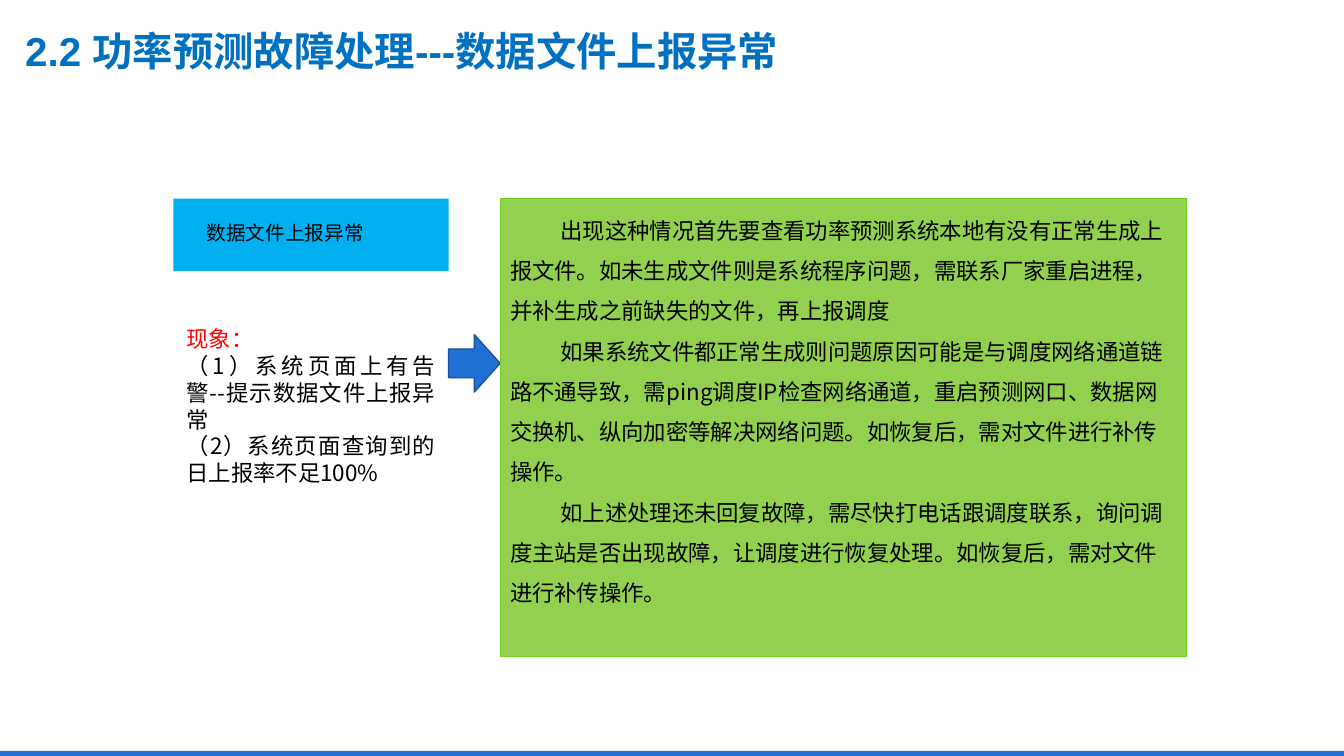
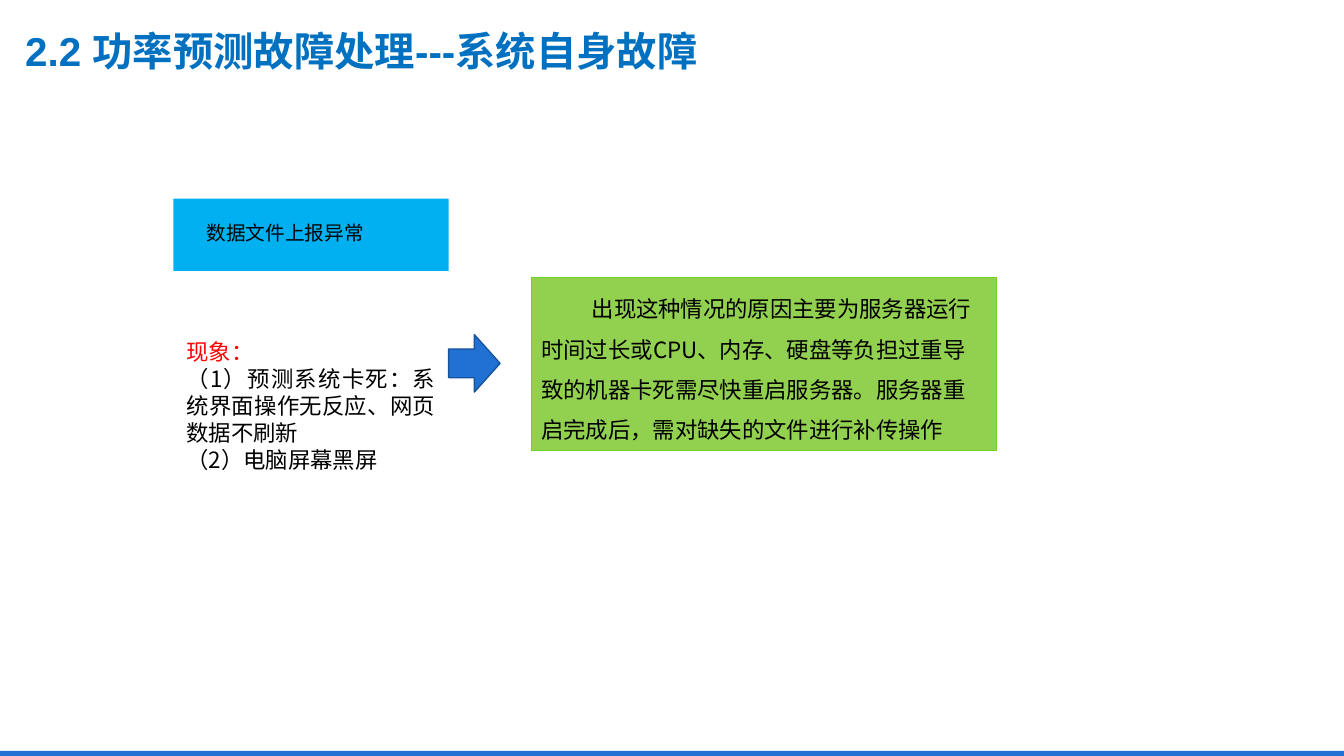
from lxml import etree
from pptx import Presentation
from pptx.dml.color import RGBColor
from pptx.enum import shapes, text
from pptx.oxml import ns
from pptx.util import Inches, Pt

CHINESE_FONT = "Noto Sans CJK SC"
TITLE_FONT = "Arial"
BLUE, DARK_BLUE, TITLE_BLUE, SKY = "2071D3", "18549C", "0070C0", "00B0F0"
GREEN, GREEN_EDGE = "92D050", "71D320"
BLACK, RED, WHITE = "000000", "FF0000", "FFFFFF"

RECTANGLE = shapes.MSO_SHAPE.RECTANGLE
TOP, MIDDLE = text.MSO_ANCHOR.TOP, text.MSO_ANCHOR.MIDDLE
LEFT, JUSTIFY = text.PP_ALIGN.LEFT, text.PP_ALIGN.JUSTIFY

WIDTH, HEIGHT = 13.33, 7.5
BAND_HEIGHT = 0.05
COLUMN_LEFT, COLUMN_TOP, COLUMN_WIDTH = 1.72, 1.97, 2.73
HEADING_HEIGHT, SYMPTOM_HEIGHT = 0.72, 2.67


def color(hex_string):
    return RGBColor.from_string(hex_string)


class Deck:
    def __init__(self):
        self.presentation = Presentation()
        self.presentation.slide_width = Inches(WIDTH)
        self.presentation.slide_height = Inches(HEIGHT)
        self.slide = None

    def add_slide(self, title):
        """Start a slide with the shared footer band and title."""
        self.slide = self.presentation.slides.add_slide(self.presentation.slide_layouts[6])
        self.add_shape(RECTANGLE, (0, HEIGHT - BAND_HEIGHT, WIDTH, BAND_HEIGHT), BLUE)
        box = self.add_text_box((0.25, 0.24, 12.13, 0.52))
        self.set_text(box, [title], 28.8, TITLE_BLUE, insets=(0, 0),
                      font=TITLE_FONT, bold=True)

    def add_shape(self, kind, place, fill, line=None, line_width=1):
        shape = self.slide.shapes.add_shape(kind, *map(Inches, place))
        shape.shadow.inherit = False
        shape.fill.solid()
        shape.fill.fore_color.rgb = color(fill)
        if line:
            shape.line.color.rgb = color(line)
            shape.line.width = Pt(line_width)
        else:
            shape.line.fill.background()
        return shape

    def add_text_box(self, place):
        return self.slide.shapes.add_textbox(*map(Inches, place))

    def set_text(self, shape, lines, size, text_color, insets=(0.1, 0.05), anchor=MIDDLE,
                 align=LEFT, spacing=1.0, indent=0, font=CHINESE_FONT, bold=False):
        """Fill a shape with one paragraph per line; insets are (sides, top and bottom)."""
        frame = shape.text_frame
        frame.text = "\n".join(lines)
        frame.word_wrap = True
        frame.vertical_anchor = anchor
        frame.margin_left = frame.margin_right = Inches(insets[0])
        frame.margin_top = frame.margin_bottom = Inches(insets[1])
        for paragraph in frame.paragraphs:
            paragraph.alignment = align
            paragraph.line_spacing = spacing
            if indent:
                paragraph._p.get_or_add_pPr().set("indent", str(Inches(indent)))
            for run in paragraph.runs:
                run.font.name = font
                run.font.size = Pt(size)
                run.font.bold = bold
                run.font.color.rgb = color(text_color)
                east_asian = etree.SubElement(run._r.get_or_add_rPr(), ns.qn("a:ea"))
                east_asian.set("typeface", CHINESE_FONT)
        return frame

    def add_heading(self, heading):
        self.add_shape(RECTANGLE, (COLUMN_LEFT, COLUMN_TOP, COLUMN_WIDTH, HEADING_HEIGHT), SKY)
        box = self.add_text_box((1.85, 2.06, 2.46, 0.53))
        frame = self.set_text(box, [heading], 14, BLACK, insets=(0.2, 0.16), spacing=0.9)
        frame.paragraphs[0].space_after = Pt(4.6)

    def add_symptoms(self, symptoms):
        place = (COLUMN_LEFT, COLUMN_TOP + HEADING_HEIGHT, COLUMN_WIDTH, SYMPTOM_HEIGHT)
        panel = self.add_shape(RECTANGLE, place, WHITE)
        lines = ["现象："] + [f"（{number}）{symptom}"
                           for number, symptom in enumerate(symptoms, 1)]
        frame = self.set_text(panel, lines, 16, BLACK, insets=(0.13, 0.07), align=JUSTIFY)
        frame.paragraphs[0].runs[0].font.color.rgb = color(RED)

    def add_arrow(self):
        self.add_shape(shapes.MSO_SHAPE.RIGHT_ARROW,
                       (COLUMN_LEFT + COLUMN_WIDTH, 3.32, 0.51, 0.57), BLUE, DARK_BLUE)

    def add_solution(self, place, lines):
        panel = self.add_shape(RECTANGLE, place, GREEN, GREEN_EDGE, 0.75)
        self.set_text(panel, lines, 16, BLACK, anchor=TOP, spacing=1.5, indent=0.5)


FAULTS = [
    {
        "title": "数据文件上报异常",
        "symptoms": ["系统页面上有告警--提示数据文件上报异常",
                     "系统页面查询到的日上报率不足100%"],
        "place": (4.96, 1.97, 6.81, 4.54),
        "solution": [
            "出现这种情况首先要查看功率预测系统本地有没有正常生成上报文件。"
            "如未生成文件则是系统程序问题，需联系厂家重启进程，"
            "并补生成之前缺失的文件，再上报调度",
            "如果系统文件都正常生成则问题原因可能是与调度网络通道链路不通导致，"
            "需ping调度IP检查网络通道，重启预测网口、数据网交换机、"
            "纵向加密等解决网络问题。如恢复后，需对文件进行补传操作。",
            "如上述处理还未回复故障，需尽快打电话跟调度联系，"
            "询问调度主站是否出现故障，让调度进行恢复处理。"
            "如恢复后，需对文件进行补传操作。",
        ],
    },
    {
        "title": "系统自身故障",
        "symptoms": ["预测系统卡死：系统界面操作无反应、网页数据不刷新",
                     "电脑屏幕黑屏"],
        "place": (5.27, 2.75, 4.61, 1.72),
        "solution": [
            "出现这种情况的原因主要为服务器运行时间过长或CPU、内存、硬盘等"
            "负担过重导致的机器卡死需尽快重启服务器。"
            "服务器重启完成后，需对缺失的文件进行补传操作",
        ],
    },
]


def main():
    deck = Deck()
    for fault in FAULTS:
        deck.add_slide(f"2.2 功率预测故障处理---{fault['title']}")
        deck.add_heading("数据文件上报异常")
        deck.add_symptoms(fault["symptoms"])
        deck.add_arrow()
        deck.add_solution(fault["place"], fault["solution"])
    deck.presentation.save("out.pptx")


if __name__ == "__main__":
    main()
